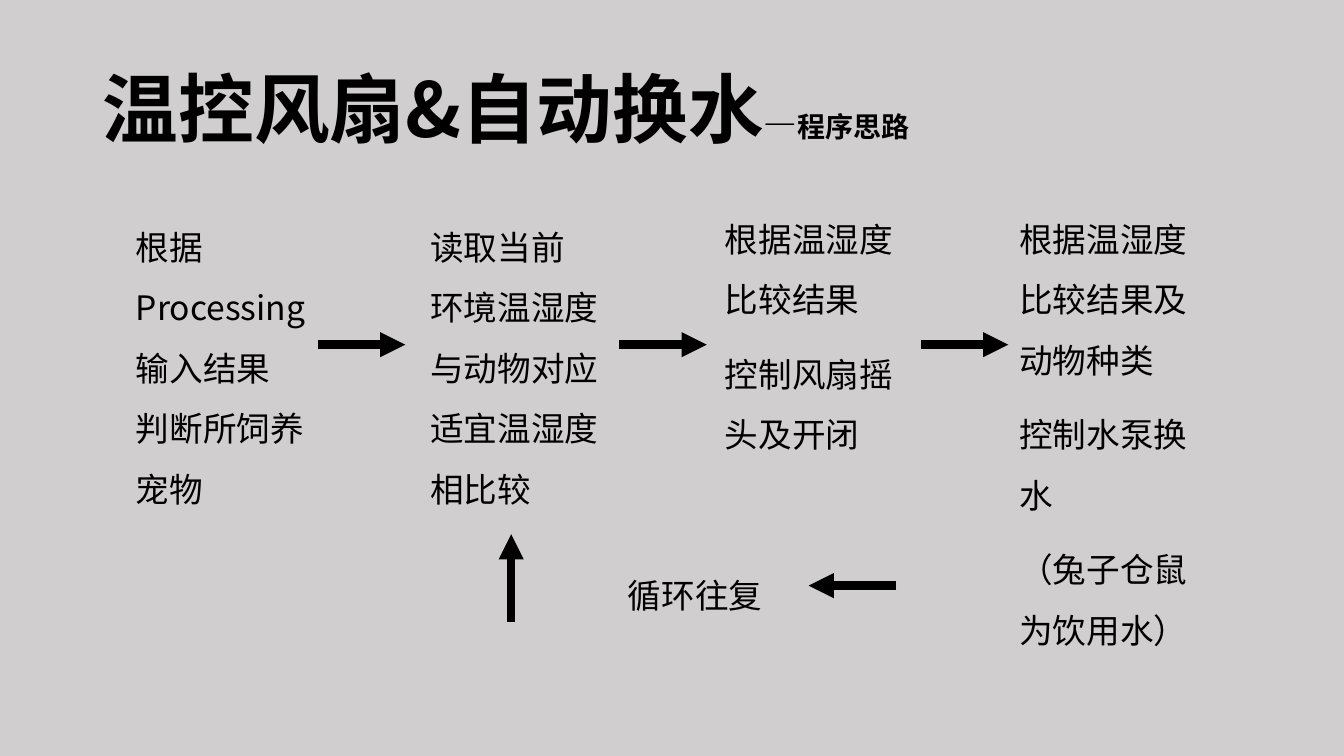
from lxml.etree import SubElement
from pptx import Presentation
from pptx.dml.color import RGBColor
from pptx.enum.shapes import MSO_CONNECTOR as CONN
from pptx.enum.text import MSO_ANCHOR, MSO_AUTO_SIZE, PP_ALIGN
from pptx.oxml.ns import qn
from pptx.util import Inches, Pt

COLORS = {"background": "D0CECE", "ink": "000000"}
FONT = "Noto Sans CJK SC"
TITLE_RUNS = [("温控风扇&自动换水", 54), ("—", 24), ("程序思路", 20)]
STEP_W, STEP_H, STEP_PITCH = 1.98, 5.5, 2.92
STEPS = [
    (2, ["根据Processing 输入结果\v判断所饲养宠物"]),
    (2, ["读取当前\v环境温湿度 与动物对应适宜温湿度相比较"]),
    (1.92, ["根据温湿度比较结果", "控制风扇摇头及开闭"]),
    (1.92, ["根据温湿度比较结果及动物种类", "控制水泵换水", "（兔子仓鼠为饮用水）"]),
]
ARROW_LEN = 0.87


def color(name):
    return RGBColor.from_string(COLORS[name])


def format_run(r, size, bold=False):
    for key, value in {"name": FONT, "size": Pt(size), "bold": bold}.items():
        setattr(r.font, key, value)
    r.font.color.rgb = color("ink")
    SubElement(r.font._element, qn("a:ea"), typeface=FONT)


def place_title(slide, x, y, w, h):
    sp = slide.shapes.title
    sp.left, sp.top, sp.width, sp.height = map(Inches, (x, y, w, h))
    tf = sp.text_frame
    tf.auto_size = MSO_AUTO_SIZE.NONE
    tf.vertical_anchor = MSO_ANCHOR.MIDDLE
    p = tf.paragraphs[0]
    p.alignment = PP_ALIGN.LEFT
    p.line_spacing = 0.9
    for text, size in TITLE_RUNS:
        r = p.add_run()
        r.text = text
        format_run(r, size, bold=True)


def add_step(slide, paragraphs, x, y, w, h):
    tf = slide.shapes.add_textbox(*map(Inches, (x, y, w, h))).text_frame
    tf.word_wrap = True
    for i, text in enumerate(paragraphs):
        p = tf.add_paragraph() if i else tf.paragraphs[0]
        p.text = text
        p.line_spacing = 1.5
        p.space_before = Pt(10 if i else 0)
        for r in p.runs:
            format_run(r, 24)


def add_arrow(slide, x, y, dx, dy):
    """Draw an arrow from (x, y) that runs dx across and dy down."""
    ends = map(Inches, (x, y, x + dx, y + dy))
    line = slide.shapes.add_connector(CONN.STRAIGHT, *ends)
    line.line.width = Pt(6)
    line.line.color.rgb = color("ink")
    SubElement(line.line._get_or_add_ln(), qn("a:tailEnd"), type="triangle")
    SubElement(line._element.spPr, qn("a:effectLst"))


def add_forward_flow(slide, x):
    for i, (y, paragraphs) in enumerate(STEPS):
        add_step(slide, paragraphs, x + i * STEP_PITCH, y, STEP_W, STEP_H)
    for i in range(len(STEPS) - 1):
        add_arrow(slide, x + 1.9 + i * 2.99, 3.42, ARROW_LEN, 0)


def add_return_loop(slide, x, y):
    add_step(slide, ["循环往复"], x, y, STEP_W, 2.05)
    add_arrow(slide, x + 2.76, y + 0.36, -ARROW_LEN, 0)
    add_arrow(slide, x - 1.06, y + 0.72, 0, -ARROW_LEN)


def main():
    prs = Presentation()
    prs.slide_width, prs.slide_height = Inches(13.33), Inches(7.5)
    slide = prs.slides.add_slide(prs.slide_layouts[5])
    fill = slide.background.fill
    fill.solid()
    fill.fore_color.rgb = color("background")
    place_title(slide, 0.92, 0.4, 11.5, 1.45)
    add_forward_flow(slide, 1.25)
    add_return_loop(slide, 6.13, 5.45)
    prs.save("out.pptx")


if __name__ == "__main__":
    main()
